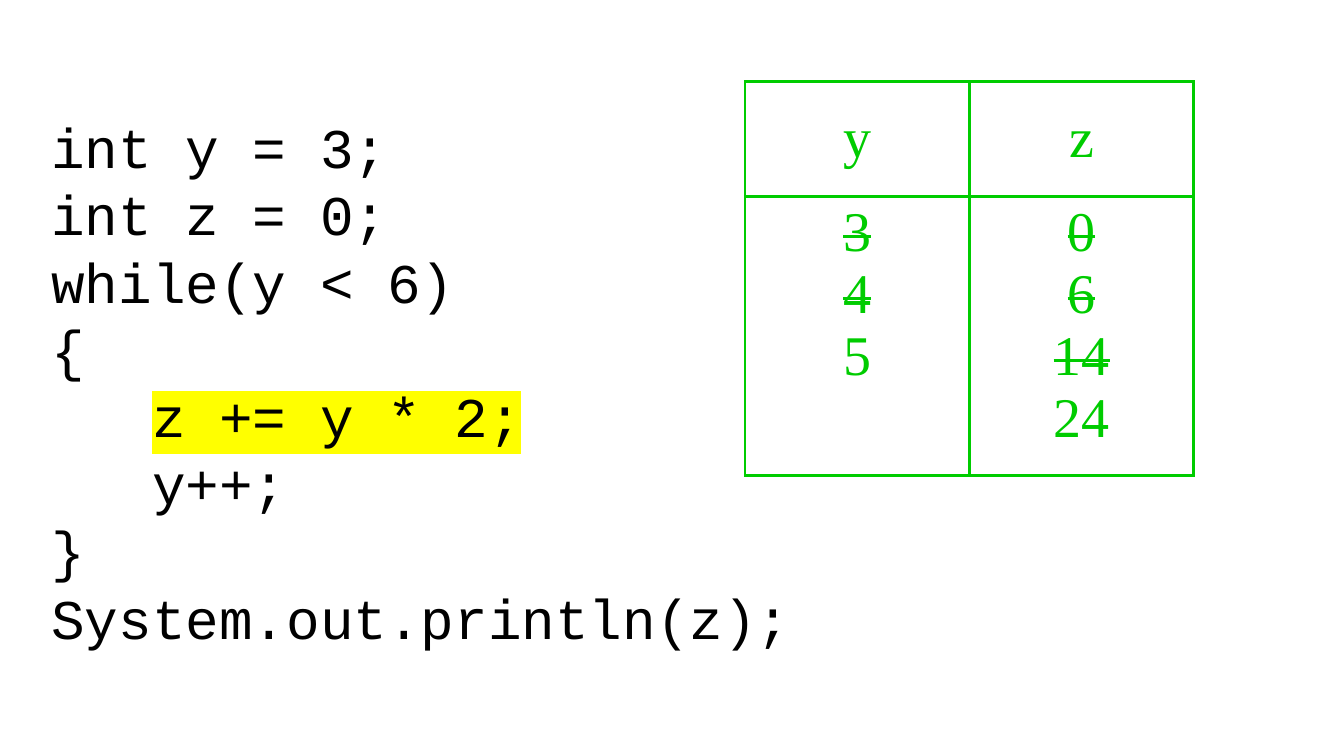
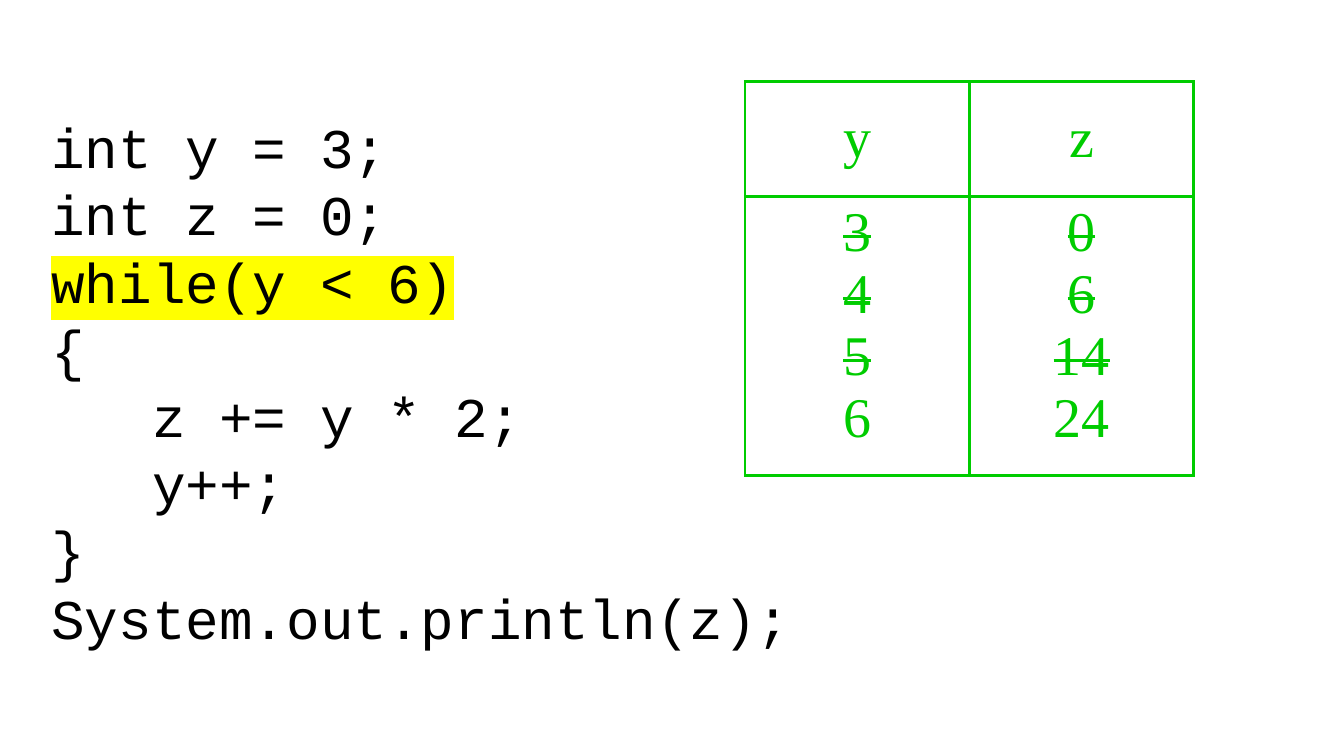
"""Build two slides that trace a while loop with a table of variable values."""
from lxml.etree import SubElement
from pptx import Presentation
from pptx.dml.color import RGBColor
from pptx.enum.text import MSO_ANCHOR, PP_ALIGN
from pptx.oxml import parse_xml
from pptx.oxml.ns import nsdecls, qn
from pptx.util import Inches, Pt

COLORS = {"code": "000000", "trace": "00CC00", "mark": "FFFF00"}
CODE_FONT = "Courier New"
TRACE_FONT = "Times New Roman"
SIZE = 40
BORDER = 2.25
CODE = [
    "int y = 3;",
    "int z = 0;",
    "while(y < 6)",
    "{",
    "\tz += y * 2;",
    "\ty++;",
    "}",
    "System.out.println(z);",
]
STEPS = [
    {"active": 4, "trace": {"y": ["3", "4", "5"], "z": ["0", "6", "14", "24"]}},
    {"active": 2, "trace": {"y": ["3", "4", "5", "6"], "z": ["0", "6", "14", "24"]}},
]


def add_run(p, text, font=CODE_FONT, color="code", mark=False, strike=False):
    r = p.add_run()
    r.text = text
    r.font.name = font
    r.font.size = Pt(SIZE)
    r.font.color.rgb = RGBColor.from_string(COLORS[color])
    rPr = r.font._element
    if strike:
        rPr.set("strike", "sngStrike")
    if mark:
        rPr.find(qn("a:solidFill")).addnext(parse_xml(
            f'<a:highlight {nsdecls("a")}><a:srgbClr val="{COLORS["mark"]}"/></a:highlight>'))


def add_tab_stop(p, pos):
    tabs = SubElement(p._p.get_or_add_pPr(), qn("a:tabLst"))
    SubElement(tabs, qn("a:tab"), pos=str(pos), algn="l")


def add_code(s, active):
    box = s.shapes.add_textbox(Inches(0.41), Inches(1.01), Inches(8.75), Inches(5.49))
    tf = box.text_frame
    tf.word_wrap = True
    tf.vertical_anchor = MSO_ANCHOR.BOTTOM
    for i, line in enumerate(CODE):
        p = tf.paragraphs[0] if i == 0 else tf.add_paragraph()
        p.line_spacing = Pt(48)
        add_tab_stop(p, Inches(1))
        statement = line.lstrip()
        indent = line[:len(line) - len(statement)]
        if indent:
            add_run(p, indent)
        add_run(p, statement, mark=i == active)


def set_borders(cell):
    tcPr = cell._tc.get_or_add_tcPr()
    for i, side in enumerate("LRTB"):
        tcPr.insert(i, parse_xml(
            f'<a:ln{side} {nsdecls("a")} w="{Pt(BORDER)}"><a:solidFill>'
            f'<a:srgbClr val="{COLORS["trace"]}"/></a:solidFill></a:ln{side}>'))


def fill_cell(cell, values, anchor, crossed=False):
    cell.fill.background()
    set_borders(cell)
    cell.vertical_anchor = anchor
    tf = cell.text_frame
    for i, value in enumerate(values):
        p = tf.paragraphs[0] if i == 0 else tf.add_paragraph()
        p.alignment = PP_ALIGN.CENTER
        add_run(p, value, font=TRACE_FONT, color="trace",
                strike=crossed and i < len(values) - 1)


def add_trace(s, trace):
    heights = [1.14, 2.76]
    frame = s.shapes.add_table(2, len(trace), Inches(7.39), Inches(0.81),
                               Inches(4.45), Inches(sum(heights)))
    table = frame.table
    table.first_row = table.horz_banding = False
    for row, height in zip(table.rows, heights):
        row.height = Inches(height)
    for col, (name, values) in enumerate(trace.items()):
        fill_cell(table.cell(0, col), [name], MSO_ANCHOR.MIDDLE)
        fill_cell(table.cell(1, col), values, MSO_ANCHOR.TOP, crossed=True)


def main():
    prs = Presentation()
    prs.slide_width, prs.slide_height = Inches(13.33), Inches(7.5)
    blank = prs.slide_layouts[6]
    for step in STEPS:
        s = prs.slides.add_slide(blank)
        add_code(s, step["active"])
        add_trace(s, step["trace"])
    prs.save("out.pptx")


if __name__ == "__main__":
    main()
